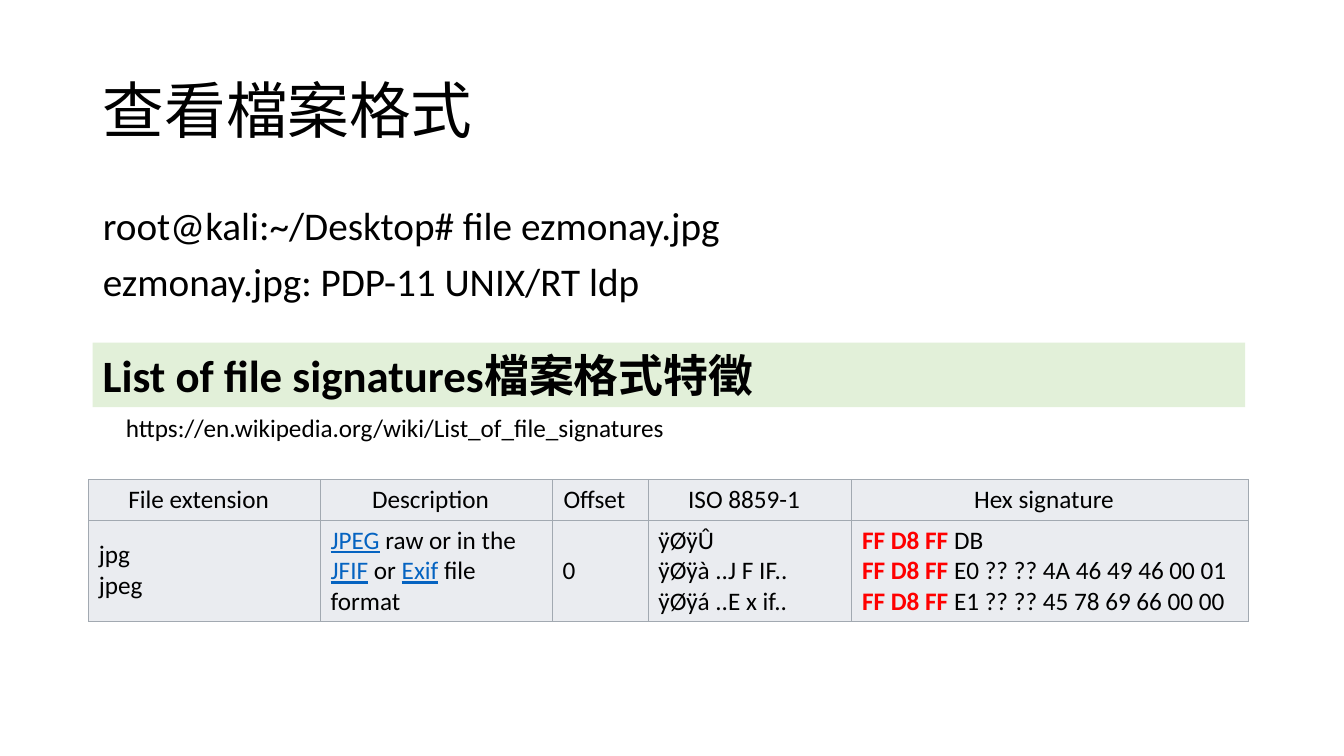
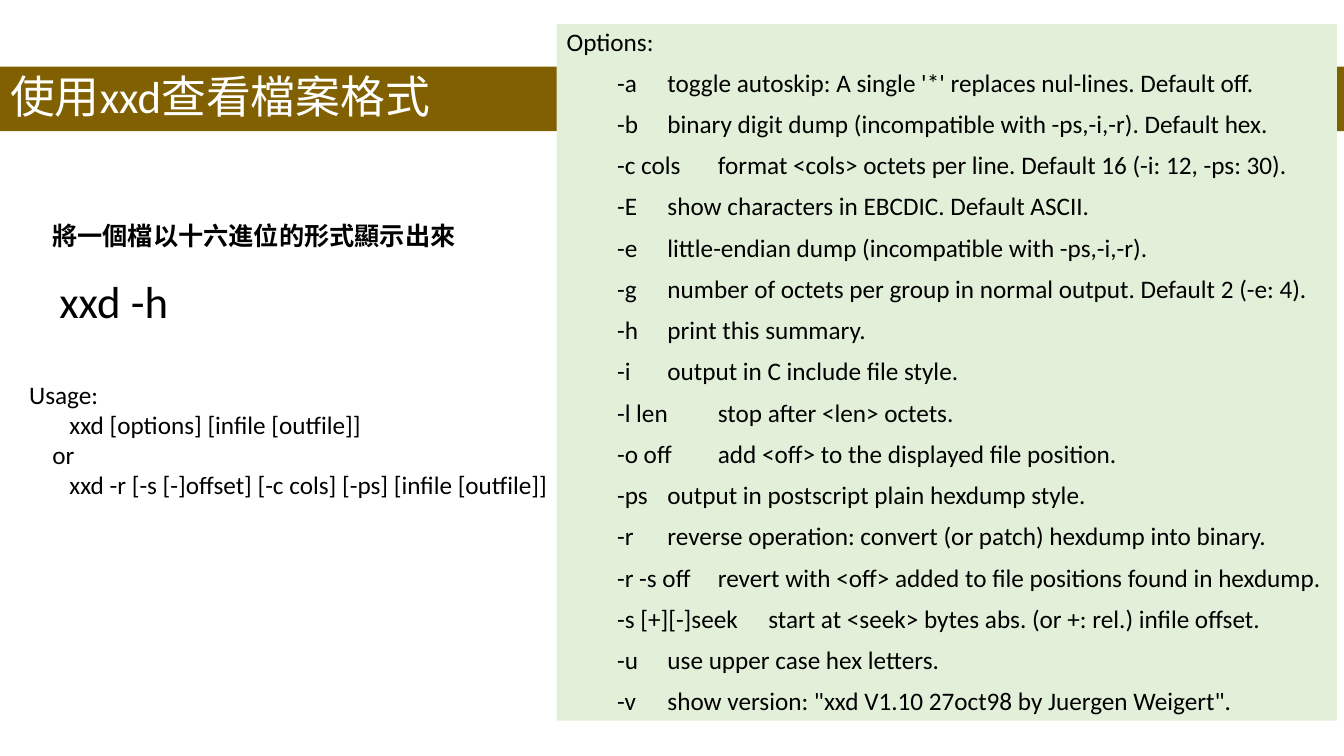
from lxml import etree
from pptx import Presentation
from pptx.dml.color import RGBColor
from pptx.enum.shapes import MSO_SHAPE
from pptx.enum.text import MSO_ANCHOR, MSO_AUTO_SIZE, PP_ALIGN
from pptx.oxml.ns import qn
from pptx.util import Inches, Pt

RECT = MSO_SHAPE.RECTANGLE
TOP, MIDDLE = MSO_ANCHOR.TOP, MSO_ANCHOR.MIDDLE
LEFT, CENTER = PP_ALIGN.LEFT, PP_ALIGN.CENTER
FIXED = MSO_AUTO_SIZE.NONE

FONT = "Calibri"
BLACK, WHITE, RED, LINK = "000000", "FFFFFF", "FF0000", "0563C1"
GREEN, BROWN, GREY, EDGE = "E2F0D9", "806000", "EAECF0", "A2A9B1"

MAGIC = ("FF D8 FF ", RED)
HEADS = ["File extension", "Description", "Offset", "ISO 8859-1", "Hex signature"]
CELLS = [
    [["jpg"], ["jpeg"]],
    [[("JPEG", LINK), " raw or in the ", ("JFIF", LINK), " or ",
      ("Exif", LINK), " file format"]],
    [["0"]],
    [["ÿØÿÛ"], ["ÿØÿà ..J F IF.."], ["ÿØÿá ..E x if.."]],
    [[MAGIC, "DB"], [MAGIC, "E0 ?? ?? 4A 46 49 46 00 01"],
     [MAGIC, "E1 ?? ?? 45 78 69 66 00 00"]],
]
WIDTHS = [2.3, 2.3, 0.95, 2.02, 3.93]
HEIGHTS = [0.4, 1]

OPTIONS = [
    ("-a", 0.99, "toggle autoskip: A single '*' replaces nul-lines. Default off."),
    ("-b", 1, "binary digit dump (incompatible with -ps,-i,-r). Default hex."),
    ("-c cols", 1.13, "format <cols> octets per line. Default 16 (-i: 12, -ps: 30)."),
    ("-E", 0.99, "show characters in EBCDIC. Default ASCII."),
    ("-e", 0.99, "little-endian dump (incompatible with -ps,-i,-r)."),
    ("-g", 0.99, "number of octets per group in normal output. Default 2 (-e: 4)."),
    ("-h", 1, "print this summary."),
    ("-i", 0.92, "output in C include file style."),
    ("-l len", 1.06, "stop after <len> octets."),
    ("-o off", 1.11, "add <off> to the displayed file position."),
    ("-ps", 1.04, "output in postscript plain hexdump style."),
    ("-r", 0.95, "reverse operation: convert (or patch) hexdump into binary."),
    ("-r -s off", 1.13, "revert with <off> added to file positions found in hexdump."),
    ("-s [+][-]seek", 1.54, "start at <seek> bytes abs. (or +: rel.) infile offset."),
    ("-u", 1, "use upper case hex letters."),
    ("-v", 0.98, 'show version: "xxd V1.10 27oct98 by Juergen Weigert".'),
]
USAGE = [
    ("Usage:", 0),
    ("xxd [options] [infile [outfile]]", 0.4),
    ("or", 0.23),
    ("xxd -r [-s [-]offset] [-c cols] [-ps] [infile [outfile]]", 0.4),
]


def rgb(code):
    """Turn a hex string into a colour."""
    return RGBColor.from_string(code)


def paint(shape, code):
    """Fill a shape or cell with one colour."""
    shape.fill.solid()
    shape.fill.fore_color.rgb = rgb(code)


def style(para, size, color=BLACK, bold=False, align=LEFT):
    """Give a paragraph its font and alignment."""
    para.alignment = align
    font = para.font
    font.name, font.size, font.bold = FONT, Pt(size), bold
    font.color.rgb = rgb(color)


def place(shape, box):
    """Move a shape to a box in inches."""
    shape.left, shape.top, shape.width, shape.height = map(Inches, box)


def indent(para, left=0, stops=()):
    """Remove the bullet and set the left indent and tab stops."""
    props = para._p.get_or_add_pPr()
    props.set("marL", str(Inches(left)))
    props.set("indent", "0")
    etree.SubElement(props, qn("a:buNone"))
    if stops:
        tabs = etree.SubElement(props, qn("a:tabLst"))
        for stop in stops:
            etree.SubElement(tabs, qn("a:tab"), pos=str(Inches(stop)), algn="l")


def title(slide, box, text, size, color=BLACK, fill=None):
    """Place and format the slide title."""
    shape = slide.shapes.title
    place(shape, box)
    if fill:
        paint(shape, fill)
    frame = shape.text_frame
    frame.text = text
    frame.auto_size, frame.vertical_anchor = FIXED, MIDDLE
    frame.paragraphs[0].line_spacing = 0.9
    style(frame.paragraphs[0], size, color)


def body(slide, box, rows, size, fill=None):
    """Fill the body placeholder with rows of text and tab stops."""
    shape = slide.placeholders[1]
    place(shape, box)
    if fill:
        paint(shape, fill)
    frame = shape.text_frame
    frame.text = "\n".join(text for text, _ in rows)
    frame.auto_size, frame.vertical_anchor = FIXED, TOP
    for i, (para, (_, stops)) in enumerate(zip(frame.paragraphs, rows)):
        para.line_spacing = 0.9
        para.space_before = Pt(10 if i else 0)
        indent(para, stops=stops)
        style(para, size)


def label(slide, box, rows, size, bold=False):
    """Add a text box of rows with left indents."""
    frame = slide.shapes.add_textbox(*map(Inches, box)).text_frame
    frame.word_wrap = len(rows) > 1
    frame.text = "\n".join(text for text, _ in rows)
    for para, (_, left) in zip(frame.paragraphs, rows):
        indent(para, left)
        style(para, size, bold=bold)


def band(slide, box, text):
    """Add a green heading band."""
    shape = slide.shapes.add_shape(RECT, *map(Inches, box))
    shape.shadow.inherit = False
    paint(shape, GREEN)
    shape.line.fill.background()
    frame = shape.text_frame
    frame.text = text
    frame.vertical_anchor = TOP
    style(frame.paragraphs[0], 32, bold=True)


def border(cell):
    """Draw thin lines on all sides of a cell."""
    props = cell._tc.get_or_add_tcPr()
    for i, side in enumerate(("lnL", "lnR", "lnT", "lnB")):
        line = etree.Element(qn("a:" + side), w=str(Pt(0.75)))
        fill = etree.SubElement(line, qn("a:solidFill"))
        etree.SubElement(fill, qn("a:srgbClr"), val=EDGE)
        props.insert(i, line)


def write(cell, lines, align=LEFT):
    """Write lines of plain or coloured parts into a cell."""
    paint(cell, GREY)
    border(cell)
    cell.vertical_anchor = MIDDLE
    frame = cell.text_frame
    for i, parts in enumerate(lines):
        para = frame.add_paragraph() if i else frame.paragraphs[0]
        style(para, 18, align=align)
        for part in parts:
            text, color = (part, BLACK) if isinstance(part, str) else part
            run = para.add_run()
            run.text = text
            font = run.font
            font.name, font.size = FONT, Pt(18)
            font.color.rgb = rgb(color)
            font.bold, font.underline = color == RED, color == LINK


def grid(slide, left, top):
    """Add the table of file signatures."""
    box = left, top, sum(WIDTHS), sum(HEIGHTS)
    table = slide.shapes.add_table(2, len(WIDTHS), *map(Inches, box)).table
    table.first_row = table.horz_banding = False
    for row, high in zip(table.rows, HEIGHTS):
        row.height = Inches(high)
    for i, wide in enumerate(WIDTHS):
        table.columns[i].width = Inches(wide)
        head = table.cell(0, i)
        head.margin_right = Inches(0.22)
        write(head, [[HEADS[i]]], CENTER)
        write(table.cell(1, i), CELLS[i])


def formats(slide):
    """Build the slide on file formats."""
    title(slide, (0.92, 0.4, 11.5, 1.45), "查看檔案格式", 44)
    body(slide, (0.92, 2, 11.5, 4.76),
         [("root@kali:~/Desktop# file ezmonay.jpg", ()),
          ("ezmonay.jpg: PDP-11 UNIX/RT ldp", ())], 28)
    band(slide, (0.92, 3.4, 11.43, 0.64), "List of file signatures檔案格式特徵")
    label(slide, (1.15, 4.04, 5.6, 0.4),
          [("https://en.wikipedia.org/wiki/List_of_file_signatures", 0)], 18)
    grid(slide, 0.88, 4.76)


def dump(slide):
    """Build the slide on the xxd command."""
    title(slide, (0, 0.66, 13.33, 0.64), "使用xxd查看檔案格式", 32, WHITE, BROWN)
    rows = [("Options:", ())]
    rows += [(f"\t{flag}\t{text}", (0.23, stop)) for flag, stop, text in OPTIONS]
    body(slide, (5.52, 0.24, 7.74, 6.91), rows, 18, GREEN)
    label(slide, (0.42, 2.14, 4.24, 0.4),
          [("將一個檔以十六進位的形式顯示出來", 0)], 18, True)
    label(slide, (0.49, 2.67, 1.29, 0.64), [("xxd -h", 0)], 32)
    label(slide, (0.19, 3.71, 5.41, 1.31), USAGE, 18)


def main():
    """Build and save the deck."""
    deck = Presentation()
    deck.slide_width, deck.slide_height = Inches(13.33), Inches(7.5)
    for build in (formats, dump):
        build(deck.slides.add_slide(deck.slide_layouts[1]))
    deck.save("out.pptx")


if __name__ == "__main__":
    main()
